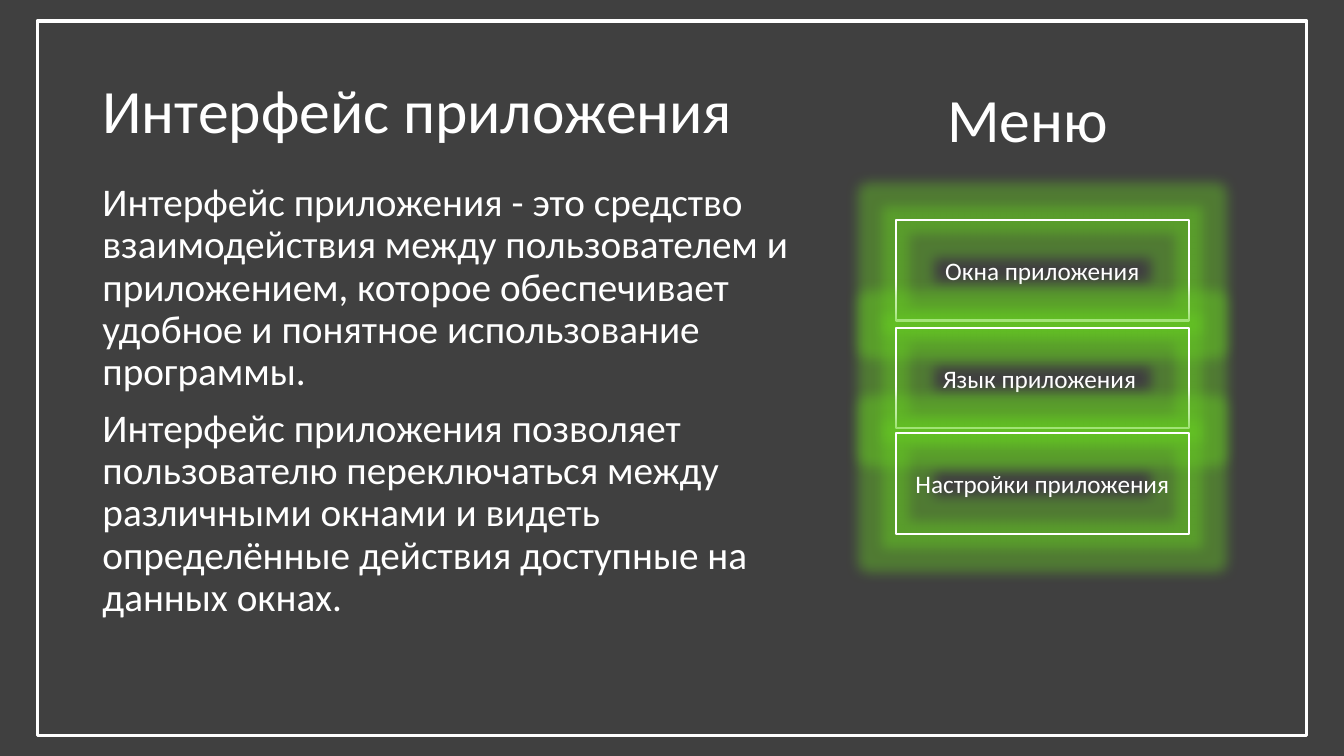
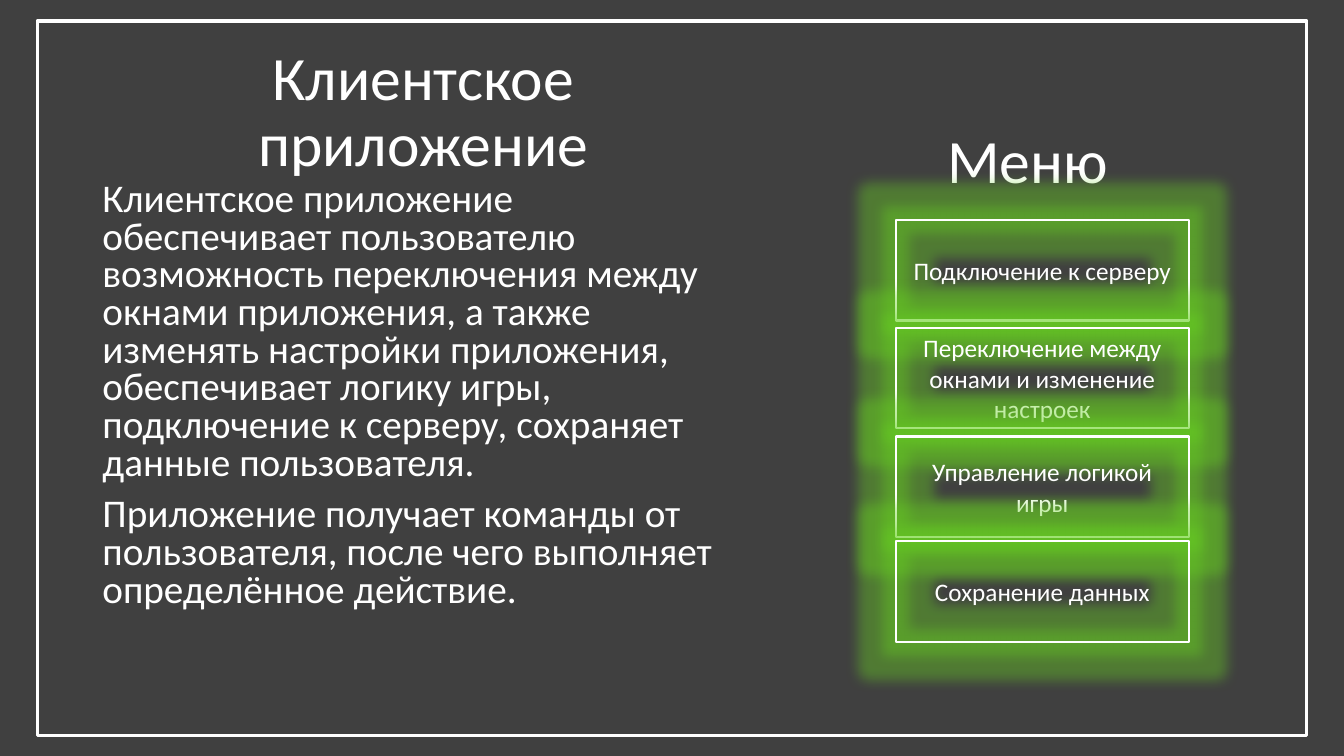
from lxml.etree import SubElement
from pptx import Presentation
from pptx.dml.color import RGBColor
from pptx.enum.shapes import MSO_SHAPE
from pptx.enum.text import MSO_ANCHOR, MSO_AUTO_SIZE, PP_ALIGN
from pptx.oxml.ns import qn
from pptx.util import Pt

COLORS = {"background": "404040", "white": "FFFFFF", "glow": "68D321"}
FONT = "Calibri"

SLIDES = [
    {
        "title": "Интерфейс приложения",
        "title_alignment": PP_ALIGN.LEFT,
        "body": [
            "Интерфейс приложения - это средство взаимодействия между пользователем "
            "и приложением, которое обеспечивает удобное и понятное использование "
            "программы.",
            "Интерфейс приложения позволяет пользователю переключаться между "
            "различными окнами и видеть определённые действия доступные на данных "
            "окнах.",
        ],
        "body_width": 515.5,
        "body_spacing": 0.9,
        "menu_top": 35.3,
        "buttons": [
            (157, "Окна приложения"),
            (234, "Язык приложения "),
            (309.6, "Настройки приложения"),
        ],
    },
    {
        "title": "Клиентское приложение",
        "title_alignment": PP_ALIGN.CENTER,
        "body": [
            "Клиентское приложение обеспечивает пользователю возможность "
            "переключения между окнами приложения, а также изменять настройки "
            "приложения, обеспечивает логику игры, подключение к серверу, "
            "сохраняет данные пользователя.",
            "Приложение получает команды от пользователя, после чего выполняет "
            "определённое действие.",
        ],
        "body_width": 450,
        "body_spacing": 0.8,
        "menu_top": 64.8,
        "buttons": [
            (157, "Подключение к серверу"),
            (234, "Переключение между окнами и изменение настроек"),
            (311.8, "Управление логикой игры"),
            (386.6, "Сохранение данных"),
        ],
    },
]


def set_text(shape, box, lines, size, alignment, anchor, spacing=1.0, space_before=0):
    """Place a shape and fill it with white, unbulleted paragraphs."""
    shape.left, shape.top, shape.width, shape.height = (Pt(value) for value in box)
    text_frame = shape.text_frame
    text_frame.text = "\n".join(lines)
    text_frame.word_wrap = True
    text_frame.auto_size = MSO_AUTO_SIZE.NONE
    text_frame.vertical_anchor = anchor
    for paragraph in text_frame.paragraphs:
        paragraph.alignment = alignment
        paragraph.line_spacing = spacing
        paragraph.space_before = Pt(space_before)
        properties = paragraph._p.get_or_add_pPr()
        properties.set("marL", "0")
        properties.set("indent", "0")
        SubElement(properties, qn("a:buNone"))
        for run in paragraph.runs:
            run.font.name = FONT
            run.font.size = Pt(size)
            run.font.color.rgb = RGBColor.from_string(COLORS["white"])


def add_outline(slide, box, line_width):
    """Add an unfilled white rectangle."""
    shape = slide.shapes.add_shape(MSO_SHAPE.RECTANGLE, *(Pt(value) for value in box))
    shape.shadow.inherit = False
    shape.fill.background()
    shape.line.color.rgb = RGBColor.from_string(COLORS["white"])
    shape.line.width = Pt(line_width)
    return shape


presentation = Presentation()
presentation.slide_width = Pt(960)
presentation.slide_height = Pt(540)

# Shared dark background
background = presentation.slide_master.background.fill
background.solid()
background.fore_color.rgb = RGBColor.from_string(COLORS["background"])

for content in SLIDES:
    slide = presentation.slides.add_slide(presentation.slide_layouts[1])

    # Frame
    add_outline(slide, (26.5, 15, 907, 510.5), 2.25)

    # Title and body
    set_text(slide.shapes.title, (66, 28.75, 473, 104.4), [content["title"]], 44,
             content["title_alignment"], MSO_ANCHOR.MIDDLE, 0.9)
    set_text(slide.placeholders[1], (66, 126.7, content["body_width"], 342.7),
             content["body"], 28, PP_ALIGN.LEFT, MSO_ANCHOR.TOP,
             content["body_spacing"], 10)

    # Menu heading
    menu_box = (669.6, content["menu_top"], 149, 104.4)
    menu_heading = slide.shapes.add_textbox(*(Pt(value) for value in menu_box))
    set_text(menu_heading, menu_box, ["Меню"], 44, PP_ALIGN.LEFT,
             MSO_ANCHOR.MIDDLE, 0.9)

    # Glowing menu buttons
    for top, label in content["buttons"]:
        button_box = (640, top, 209, 72)
        button = add_outline(slide, button_box, 1.5)
        set_text(button, button_box, [label], 18, PP_ALIGN.CENTER, MSO_ANCHOR.MIDDLE)
        effects = button._element.spPr.find(qn("a:effectLst"))
        glow = SubElement(effects, qn("a:glow"), rad=str(Pt(18)))
        glow_color = SubElement(glow, qn("a:srgbClr"), val=COLORS["glow"])
        SubElement(glow_color, qn("a:alpha"), val="40000")

presentation.save("out.pptx")
